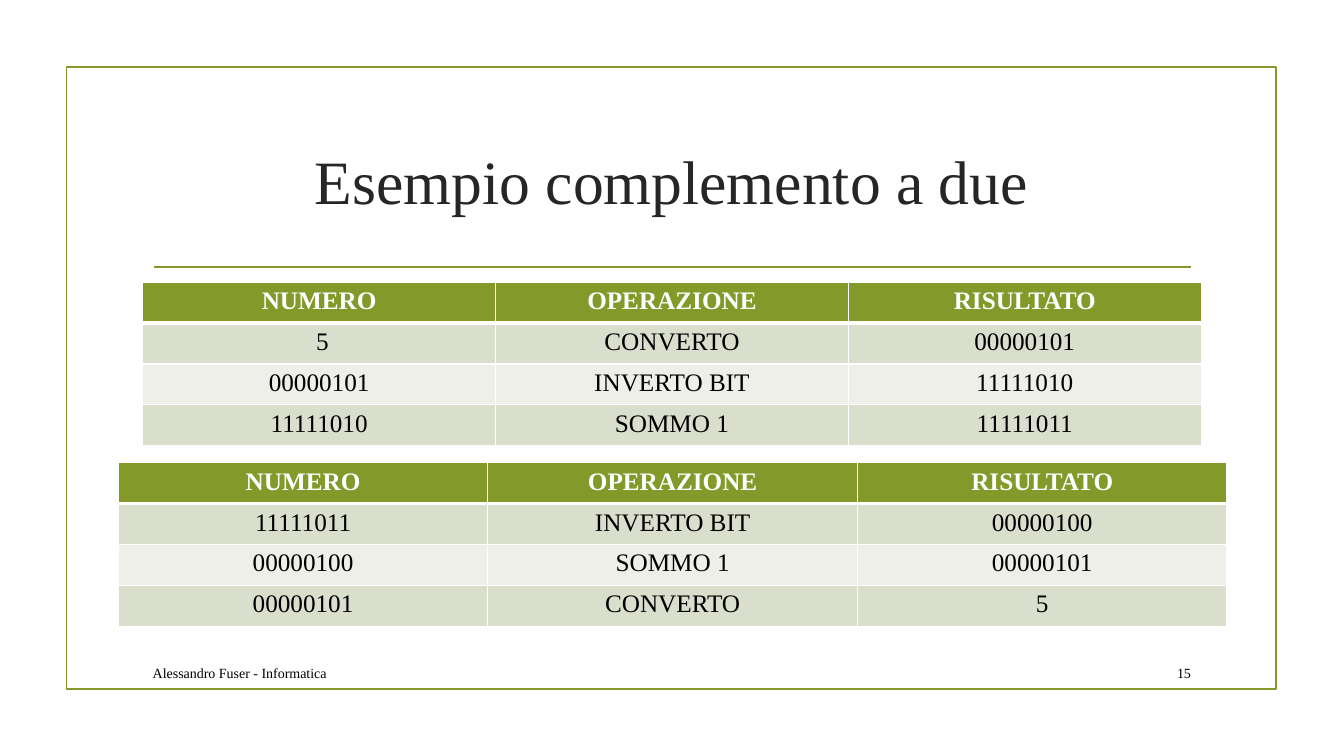
from dataclasses import dataclass
from lxml.etree import SubElement as Sub
from pptx import Presentation
from pptx.dml.color import RGBColor as RGB
from pptx.enum.shapes import MSO_CONNECTOR as LINK, MSO_SHAPE as SHAPE
from pptx.enum.text import MSO_ANCHOR as ANCHOR, PP_ALIGN as ALIGN
from pptx.oxml import parse_xml
from pptx.oxml.ns import nsdecls, qn
from pptx.util import Pt


@dataclass(frozen=True)
class Theme:
    font: str = "Times New Roman"
    green: str = "83992A"
    ink: str = "262626"
    black: str = "000000"
    white: str = "FFFFFF"
    bands: tuple = ("EDEFE8", "D9DECD")
    title: int = 44
    cell: int = 18
    foot: int = 10


theme = Theme()


def write(frame, text, size, color, align, bold=False):
    para = frame.paragraphs[0]
    para.alignment = align
    run = para.add_run()
    run.text = text
    run.font.name = theme.font
    run.font.size = Pt(size)
    run.font.bold = bold
    run.font.color.rgb = RGB.from_string(color)


def edge(cell, widths):
    props = cell._tc.get_or_add_tcPr()
    for spot, (side, width) in enumerate(zip("LRTB", widths)):
        props.insert(spot, parse_xml(
            f'<a:ln{side} {nsdecls("a")} w="{Pt(width)}"><a:solidFill>'
            f'<a:srgbClr val="{theme.white}"/></a:solidFill></a:ln{side}>'))


deck = Presentation()
deck.slide_width, deck.slide_height = Pt(960), Pt(540)
slide = deck.slides.add_slide(deck.slide_layouts[5])
shapes = slide.shapes
title = shapes.title

border = shapes.add_shape(SHAPE.RECTANGLE, Pt(47.6), Pt(48), Pt(864), Pt(444))
border.shadow.inherit = False
border.fill.background()
rule = shapes.add_connector(LINK.STRAIGHT, Pt(110), Pt(190.8), Pt(850.5), Pt(190.8))
Sub(rule._element.spPr, qn("a:effectLst"))
for item in (border, rule):
    item.line.color.rgb = RGB.from_string(theme.green)
    item.line.width = Pt(1.25)
    shapes._spTree.remove(item._element)
    shapes._spTree.insert(shapes._spTree.index(title._element), item._element)

title.left, title.top, title.width, title.height = Pt(102), Pt(77), Pt(756), Pt(103)
title.text_frame.vertical_anchor = ANCHOR.MIDDLE
write(title.text_frame, "Esempio complemento a due", theme.title, theme.ink, ALIGN.CENTER)

head = ("NUMERO", "OPERAZIONE", "RISULTATO")
grids = [
    (102, 201.6, 756, [
        head,
        (" 5", "CONVERTO", "00000101"),
        ("00000101", "INVERTO BIT", "11111010"),
        ("11111010", "SOMMO 1", "11111011"),
    ]),
    (84.5, 330.5, 792, [
        head,
        ("11111011", "INVERTO BIT", "00000100"),
        ("00000100", "SOMMO 1", "00000101"),
        ("00000101", "CONVERTO", "5"),
    ]),
]
for left, top, width, rows in grids:
    table = shapes.add_table(len(rows), len(head), Pt(left), Pt(top),
                             Pt(width), Pt(29.2 * len(rows))).table
    for r, row in enumerate(rows):
        first = r == 0
        fill = theme.green if first else theme.bands[r % 2]
        color = theme.white if first else theme.black
        for c, text in enumerate(row):
            cell = table.cell(r, c)
            cell.fill.solid()
            cell.fill.fore_color.rgb = RGB.from_string(fill)
            edge(cell, (1, 1, 3 if r == 1 else 1, 3 if first else 1))
            write(cell.text_frame, text, theme.cell, color, ALIGN.CENTER, first)

for left, width, text, align in (
    (102, 575, "Alessandro Fuser - Informatica", ALIGN.LEFT),
    (815, 42.8, "15", ALIGN.RIGHT),
):
    frame = shapes.add_textbox(Pt(left), Pt(470), Pt(width), Pt(22)).text_frame
    frame.word_wrap = True
    frame.vertical_anchor = ANCHOR.MIDDLE
    write(frame, text, theme.foot, theme.black, align)

deck.save("out.pptx")
